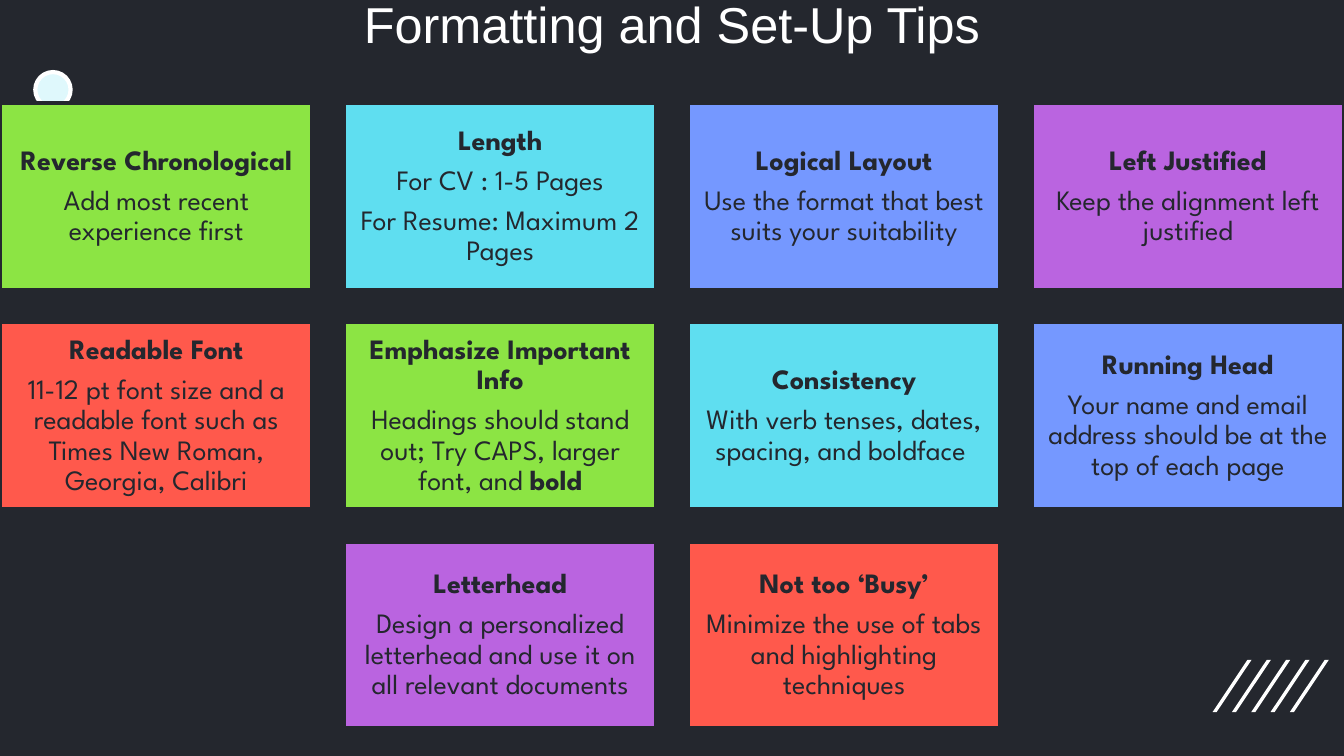
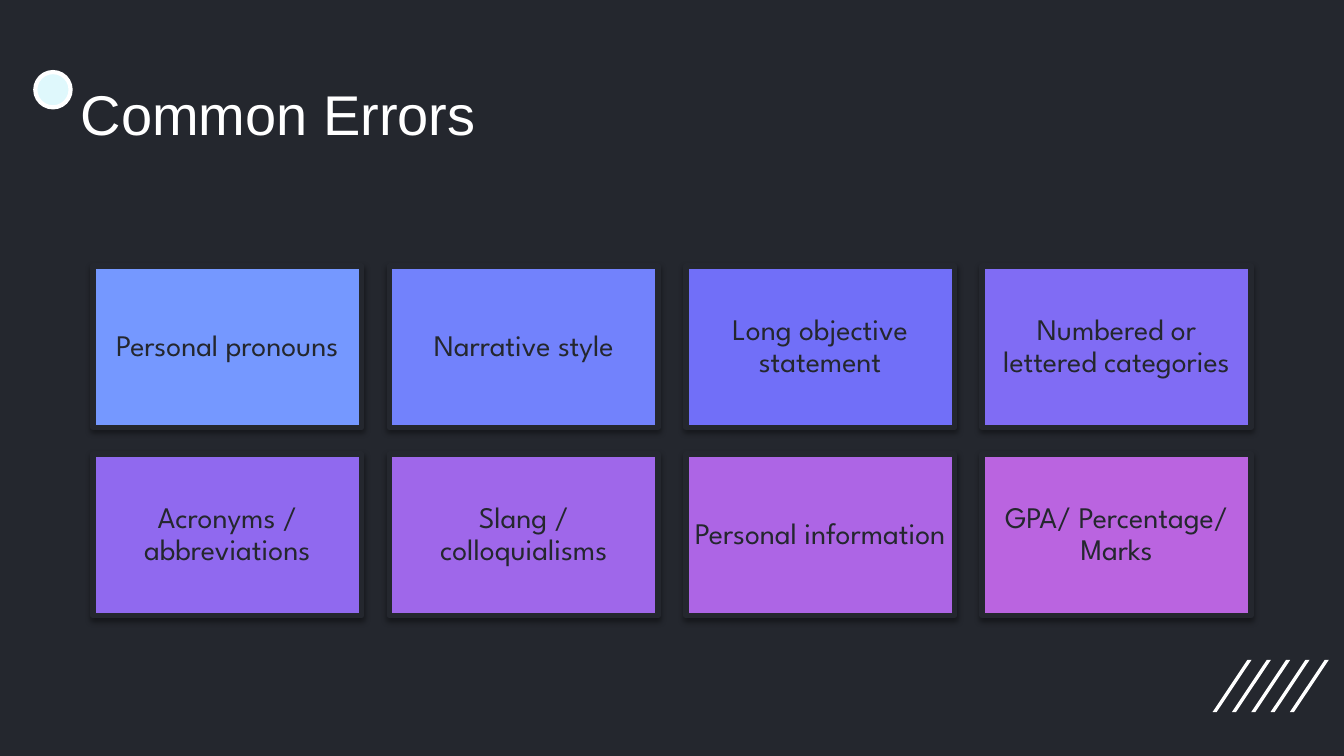
from lxml import etree
from pptx import Presentation
from pptx.dml.color import RGBColor
from pptx.enum import shapes, text
from pptx.oxml import ns
from pptx.util import Pt

COLORS = {
    "ink": "24272E", "white": "FFFFFF", "ice": "DFF8FC",
    "green": "8CE444", "cyan": "5FDEF0", "blue": "7598FF",
    "purple": "BA64E0", "red": "FF594C",
    "periwinkle": "7282FC", "indigo": "716FF8", "iris": "806CF4",
    "violet": "9069EF", "amethyst": "9F67EA", "orchid": "AD65E5",
}

TIPS_GRID = dict(left=0.3, top=55.4, width=167, height=100, step_x=184.2, step_y=117.4)
ERRORS_GRID = dict(left=49.8, top=142.6, width=144, height=86.4, step_x=158.8, step_y=100.8)

TIPS = [
    (0, 0, "green", ["*Reverse Chronological*", "Add most recent experience first"]),
    (0, 1, "cyan", ["*Length*", "For CV : 1-5 Pages", "For Resume: Maximum 2 Pages"]),
    (0, 2, "blue", ["*Logical Layout*", "Use the format that best suits your suitability"]),
    (0, 3, "purple", ["*Left Justified*", "Keep the alignment left justified"]),
    (1, 0, "red", ["*Readable Font*",
                   "11-12 pt font size and a readable font such as "
                   "Times New Roman, Georgia, Calibri"]),
    (1, 1, "green", ["*Emphasize Important Info*",
                     "Headings should stand out; Try CAPS, larger font, and *bold*"]),
    (1, 2, "cyan", ["*Consistency*", "With verb tenses, dates, spacing, and boldface "]),
    (1, 3, "blue", ["*Running Head*",
                    "Your name and email address should be at the top of each page"]),
    (2, 1, "purple", ["*Letterhead*",
                      "Design a personalized letterhead and use it on all relevant documents"]),
    (2, 2, "red", ["*Not too ‘Busy’*",
                   "Minimize the use of tabs and highlighting techniques"]),
]

ERRORS = [
    ("blue", "Personal pronouns"),
    ("periwinkle", "Narrative style"),
    ("indigo", "Long objective statement"),
    ("iris", "Numbered or lettered categories"),
    ("violet", "Acronyms / abbreviations"),
    ("amethyst", "Slang / colloquialisms"),
    ("orchid", "Personal information"),
    ("purple", "GPA/ Percentage/ Marks"),
]


def apply(target, **values):
    for name, value in values.items():
        setattr(target, name, value)


def rgb(name):
    return RGBColor.from_string(COLORS[name])


class Deck:
    title_font = "Arial"
    body_font = "League Spartan"

    def __init__(self):
        self.presentation = Presentation()
        apply(self.presentation, slide_width=Pt(720), slide_height=Pt(405))
        self.slide = None

    def add_slide(self):
        self.slide = self.presentation.slides.add_slide(self.presentation.slide_layouts[6])
        background = self.slide.background.fill
        background.solid()
        background.fore_color.rgb = rgb("ink")
        for index in range(5):
            self.slash(649.6 + 10.35 * index, 353.5)
        self.box(shapes.MSO_SHAPE.OVAL, (18.9, 38.6, 18.9, 18.9), "ice", "white", 2.25)

    def paint(self, shape, fill, line=None, weight=0):
        shape.shadow.inherit = False
        shape.fill.solid()
        shape.fill.fore_color.rgb = rgb(fill)
        if line:
            shape.line.color.rgb = rgb(line)
            shape.line.width = Pt(weight)
        else:
            shape.line.fill.background()

    def slash(self, left, top, width=20.9, height=28, thickness=2.2):
        outline = self.slide.shapes.build_freeform(Pt(left + thickness), Pt(top + height))
        outline.add_line_segments([
            (Pt(left), Pt(top + height)),
            (Pt(left + width - thickness), Pt(top)),
            (Pt(left + width), Pt(top)),
        ], close=True)
        self.paint(outline.convert_to_shape(), "white")

    def box(self, kind, bounds, fill, line, weight):
        shape = self.slide.shapes.add_shape(kind, *map(Pt, bounds))
        self.paint(shape, fill, line, weight)
        return shape

    def drop_shadow(self, shape):
        effects = shape._element.spPr.find(ns.qn("a:effectLst"))
        shadow = etree.SubElement(effects, ns.qn("a:outerShdw"), blurRad=str(Pt(3.1)),
                                  dist=str(Pt(1.6)), dir="5400000", rotWithShape="0")
        black = etree.SubElement(shadow, ns.qn("a:srgbClr"), val="000000")
        etree.SubElement(black, ns.qn("a:alpha"), val="38000")

    def set_text(self, frame, lines, font, size, color, align, anchor, inset=0, after=0):
        margins = dict.fromkeys(
            ("margin_left", "margin_top", "margin_right", "margin_bottom"), Pt(inset))
        apply(frame, word_wrap=True, vertical_anchor=anchor, **margins)
        for index, line in enumerate(lines):
            paragraph = frame.add_paragraph() if index else frame.paragraphs[0]
            apply(paragraph, alignment=align, line_spacing=0.9, space_after=Pt(after))
            for part, words in enumerate(line.split("*")):
                if words:
                    run = paragraph.add_run()
                    run.text = words
                    apply(run.font, name=font, size=Pt(size), bold=part % 2 == 1)
                    run.font.color.rgb = rgb(color)

    def title(self, words, bounds, size, align):
        heading = self.slide.shapes.add_textbox(*map(Pt, bounds))
        self.set_text(heading.text_frame, [words], self.title_font, size, "white", align,
                      text.MSO_ANCHOR.TOP)

    def card(self, grid, row, column, fill, lines, size, weight, inset, raised=False):
        bounds = (grid["left"] + column * grid["step_x"], grid["top"] + row * grid["step_y"],
                  grid["width"], grid["height"])
        card = self.box(shapes.MSO_SHAPE.RECTANGLE, bounds, fill, "ink", weight)
        if raised:
            self.drop_shadow(card)
        self.set_text(card.text_frame, lines, self.body_font, size, "ink",
                      text.PP_ALIGN.CENTER, text.MSO_ANCHOR.MIDDLE, inset, 0.35 * size)


def main():
    deck = Deck()

    deck.add_slide()
    deck.title("Formatting and Set-Up Tips", (0, 0, 720, 78.5), 27, text.PP_ALIGN.CENTER)
    for row, column, fill, lines in TIPS:
        deck.card(TIPS_GRID, row, column, fill, lines, size=15, weight=2, inset=4.5)

    deck.add_slide()
    deck.title("Common Errors", (43.2, 46.8, 485, 31), 30, text.PP_ALIGN.LEFT)
    for index, (fill, error) in enumerate(ERRORS):
        row, column = divmod(index, 4)
        deck.card(ERRORS_GRID, row, column, fill, [error], size=16, weight=3, inset=4.8,
                  raised=True)

    deck.presentation.save("out.pptx")


if __name__ == "__main__":
    main()
